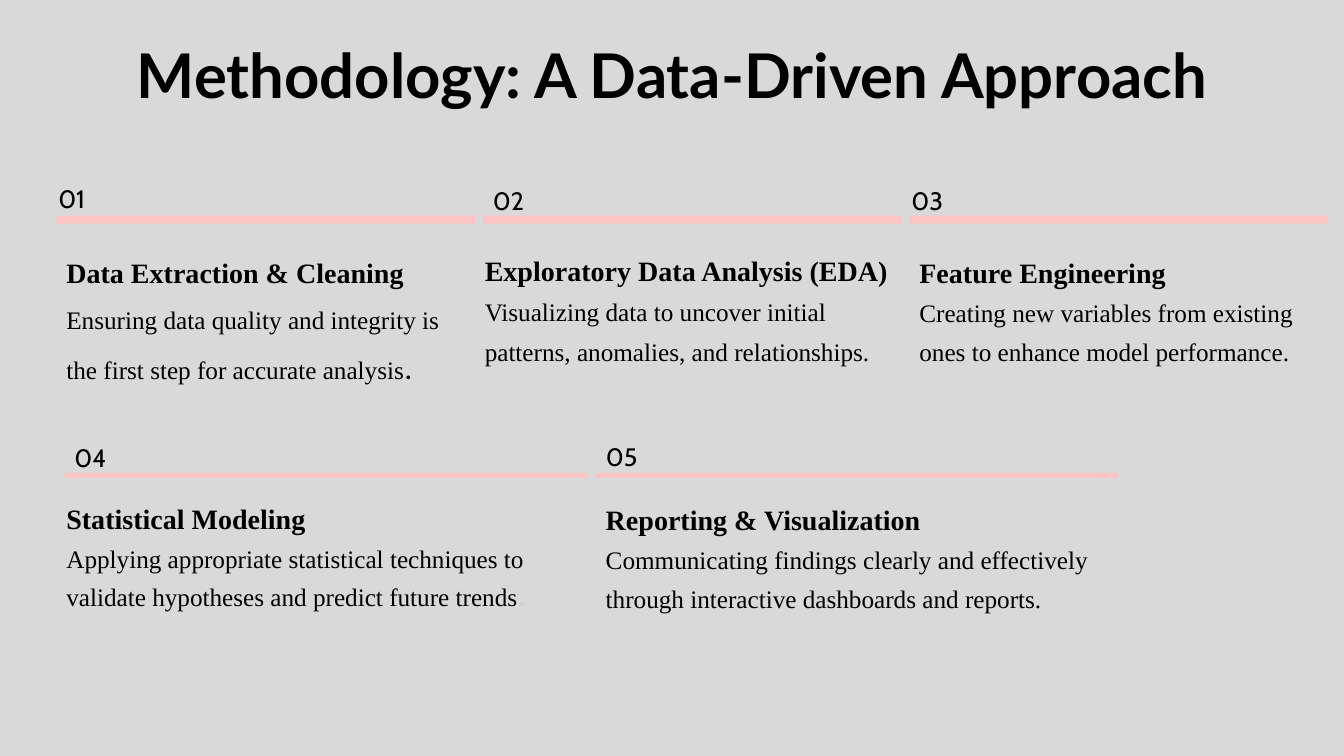
from dataclasses import dataclass
from typing import Optional

from pptx import Presentation
from pptx.dml.color import RGBColor
from pptx.enum.shapes import MSO_SHAPE
from pptx.enum.text import MSO_ANCHOR, PP_ALIGN
from pptx.util import Emu, Pt

RECTANGLE = MSO_SHAPE.RECTANGLE
TOP = MSO_ANCHOR.TOP
CENTER = PP_ALIGN.CENTER
LEFT = PP_ALIGN.LEFT

EMU_PER_PX = 9144  # 100 px to the inch
COLORS = {"background": "D9D9D9", "text": "000000", "bar": "FDC4C4", "pale": "C7CDD6"}
SERIF = "Times New Roman"
NUMBER_SPACING = Pt(28.5)


@dataclass(frozen=True)
class Box:
    left: int
    top: int
    width: int
    height: int


@dataclass(frozen=True)
class BarRow:
    left: int
    top: int
    width: int
    height: int
    pitch: int
    count: int


@dataclass(frozen=True)
class Step:
    number: str
    number_box: Box
    heading: str
    body: str
    text_box: Box
    spacing: float
    stop_color: Optional[str] = None  # set where the full stop has its own style


BAR_ROWS = [
    BarRow(56, 214, 415, 8, 423, 3),
    BarRow(64, 469, 518, 5, 527, 2),
]
STEPS = [
    Step("01", Box(48, 167, 67, 47), "Data Extraction & Cleaning",
         "Ensuring data quality and integrity is the first step for accurate analysis",
         Box(56, 232, 415, 201), 1.5, "text"),
    Step("02", Box(479, 169, 80, 47), "Exploratory Data Analysis (EDA)",
         "Visualizing data to uncover initial patterns, anomalies, and relationships.",
         Box(471, 240, 423, 128), Pt(28.5)),
    Step("03", Box(894, 169, 71, 47), "Feature Engineering",
         "Creating new variables from existing ones to enhance model performance.",
         Box(902, 244, 394, 163), Pt(27.5)),
    Step("04", Box(64, 424, 81, 47), "Statistical Modeling",
         "Applying appropriate statistical techniques to validate hypotheses "
         "and predict future trends",
         Box(56, 488, 526, 164), Pt(27.5), "pale"),
    Step("05", Box(591, 423, 121, 47), "Reporting & Visualization",
         "Communicating findings clearly and effectively through interactive "
         "dashboards and reports.",
         Box(591, 489, 543, 164), Pt(27.5)),
]


def px(length: int) -> Emu:
    return Emu(length * EMU_PER_PX)


def color(name: str) -> RGBColor:
    return RGBColor.from_string(COLORS[name])


def set_font(font, name: str, size: int, bold: bool = False, color_name: str = "text") -> None:
    font.name = name
    font.size = Pt(size)
    font.bold = bold
    font.color.rgb = color(color_name)


def add_text_frame(slide, box: Box):
    shape = slide.shapes.add_textbox(px(box.left), px(box.top), px(box.width), px(box.height))
    frame = shape.text_frame
    frame.word_wrap = True
    frame.vertical_anchor = TOP
    return frame


def write_paragraph(paragraph, text: str, font_name: str, size: int, spacing: float,
                    bold: bool = False, alignment=LEFT) -> None:
    paragraph.add_run().text = text
    paragraph.alignment = alignment
    paragraph.line_spacing = spacing
    set_font(paragraph.font, font_name, size, bold)


def add_bars(slide, row: BarRow) -> None:
    for column in range(row.count):
        bar = slide.shapes.add_shape(RECTANGLE, px(row.left + column * row.pitch),
                                     px(row.top), px(row.width), px(row.height))
        bar.shadow.inherit = False
        bar.fill.solid()
        bar.fill.fore_color.rgb = color("bar")
        bar.line.fill.background()


def add_step(slide, step: Step) -> None:
    number_frame = add_text_frame(slide, step.number_box)
    write_paragraph(number_frame.paragraphs[0], step.number, "Cabin", 18, NUMBER_SPACING)

    frame = add_text_frame(slide, step.text_box)
    write_paragraph(frame.paragraphs[0], step.heading, SERIF, 20, step.spacing, bold=True)
    body = frame.add_paragraph()
    write_paragraph(body, step.body, SERIF, 18, step.spacing)
    if step.stop_color:
        stop = body.add_run()
        stop.text = "."
        set_font(stop.font, "Inter", 20, color_name=step.stop_color)


def main() -> None:
    presentation = Presentation()
    presentation.slide_width = px(1333)
    presentation.slide_height = px(750)
    slide = presentation.slides.add_slide(presentation.slide_layouts[6])
    slide.background.fill.solid()
    slide.background.fill.fore_color.rgb = color("background")

    # Title
    title_frame = add_text_frame(slide, Box(92, 40, 1150, 145))
    write_paragraph(title_frame.paragraphs[0], "Methodology: A Data-Driven Approach",
                    "Lato", 44, 0.9, bold=True, alignment=CENTER)

    # Bars above the steps
    for row in BAR_ROWS:
        add_bars(slide, row)

    # Numbered steps
    for step in STEPS:
        add_step(slide, step)

    presentation.save("out.pptx")


if __name__ == "__main__":
    main()
